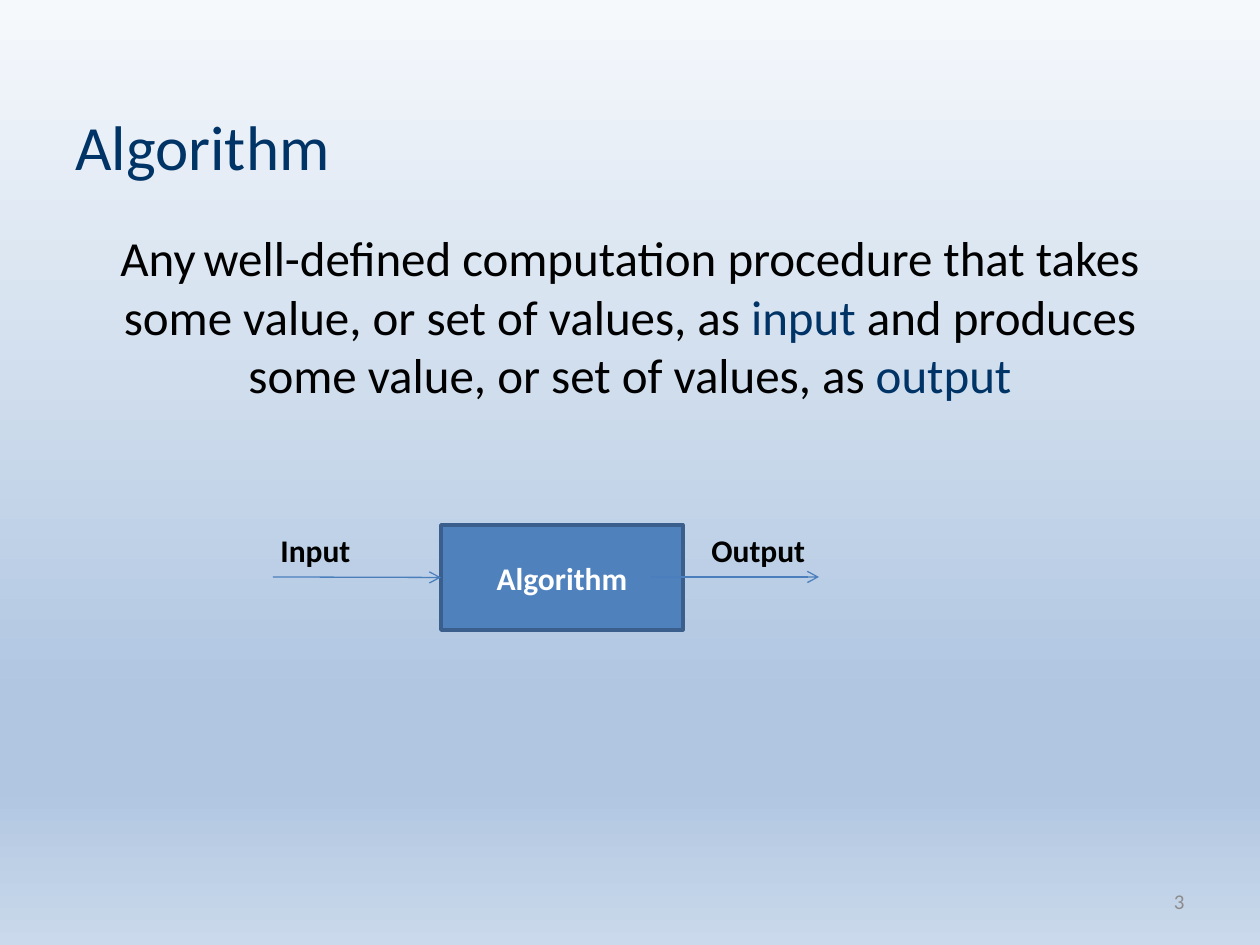
from lxml import etree
from pptx import Presentation
from pptx import util as u
from pptx.dml.color import RGBColor
from pptx.enum import shapes, text
from pptx.oxml.ns import qn

PX = 914400 / 126
FONT = "Calibri"
NAVY, BLACK, WHITE, GRAY = "003366", "000000", "FFFFFF", "8C8C8C"
BLUE, EDGE, ARROW = "4F81BD", "3A5F8C", "4B7EBC"
LEFT, CENTER, RIGHT = text.PP_ALIGN.LEFT, text.PP_ALIGN.CENTER, text.PP_ALIGN.RIGHT
TOP, MIDDLE = text.MSO_ANCHOR.TOP, text.MSO_ANCHOR.MIDDLE


def px(n):
    return u.Emu(round(n * PX))


def color(value):
    return RGBColor.from_string(value)


def write(sp, runs, size, align=LEFT, anchor=TOP, bold=False, wrap=True):
    """Fill a shape with one paragraph of (text, colour) runs."""
    tf = sp.text_frame
    tf.word_wrap = wrap
    tf.vertical_anchor = anchor
    p = tf.paragraphs[0]
    p.alignment = align
    p.font.name, p.font.size, p.font.bold = FONT, u.Pt(size), bold
    for words, c in runs:
        r = p.add_run()
        r.text = words
        r.font.color.rgb = color(c)
    return p


def add_text(s, box, runs, size, **style):
    sp = s.shapes.add_textbox(*map(px, box))
    return write(sp, runs, size, **style)


def add_arrow(s, x1, x2, y):
    line = s.shapes.add_connector(shapes.MSO_CONNECTOR.STRAIGHT, px(x1), px(y), px(x2), px(y))
    line.line.color.rgb = color(ARROW)
    line.line.width = u.Pt(0.75)
    etree.SubElement(line.line._get_or_add_ln(), qn("a:tailEnd"), type="arrow")
    etree.SubElement(line._element.spPr, qn("a:effectLst"))
    return line


def paint_background(s, stops):
    """Vertical gradient, top to bottom."""
    fill = s.background.fill
    fill.gradient()
    fill.gradient_angle = 270
    gs_list = s.background._cSld.find(".//" + qn("a:gsLst"))
    for gs in list(gs_list):
        gs_list.remove(gs)
    for percent, c in stops:
        gs = etree.SubElement(gs_list, qn("a:gs"), pos=str(percent * 1000))
        etree.SubElement(gs, qn("a:srgbClr"), val=c)


def add_definition(s, box):
    p = add_text(s, box, [
        ("Any", BLACK), (" ", BLACK),
        ("well-defined computation procedure that takes some value, "
         "or set of values, as ", BLACK),
        ("input", NAVY),
        (" and produces some value, or set of values, as ", BLACK),
        ("output", NAVY)], 28, align=CENTER)
    p.runs[1].font.size = u.Pt(20)


def add_flow(s, x, y, w, h):
    """Input arrow, algorithm box, output arrow."""
    mid = y + h // 2
    box_x, box_w, arrow_w = x + 168, 242, 168

    sp = s.shapes.add_shape(shapes.MSO_SHAPE.RECTANGLE, px(box_x), px(y), px(box_w), px(h))
    sp.shadow.inherit = False
    sp.fill.solid()
    sp.fill.fore_color.rgb = color(BLUE)
    sp.line.color.rgb = color(EDGE)
    sp.line.width = u.Pt(2)
    write(sp, [("Algorithm", WHITE)], 18, align=CENTER, anchor=MIDDLE, bold=True)

    add_arrow(s, x, x + arrow_w, mid).end_connect(sp, 1)
    add_arrow(s, x + w - arrow_w, x + w, mid)

    for label, left, width in (("Input", x - 5, 96), ("Output", x + w - 120, 120)):
        add_text(s, (left, y, width, 50), [(label, BLACK)], 18, bold=True, wrap=False)


def main():
    prs = Presentation()
    prs.slide_width, prs.slide_height = px(1260), px(945)
    s = prs.slides.add_slide(prs.slide_layouts[6])
    paint_background(s, [(0, "F6F9FC"), (74, "B0C6E1"), (83, "B0C6E1"), (100, "CAD9EB")])

    # Title and definition
    add_text(s, (63, 95, 1134, 100), [("Algorithm", NAVY)], 36, anchor=MIDDLE)
    add_definition(s, (63, 221, 1134, 624))

    # Flow diagram
    add_flow(s, 273, 525, 546, 105)

    # Slide number
    add_text(s, (903, 876, 294, 50), [("3", GRAY)], 12, align=RIGHT, anchor=MIDDLE)

    prs.save("out.pptx")


if __name__ == "__main__":
    main()
